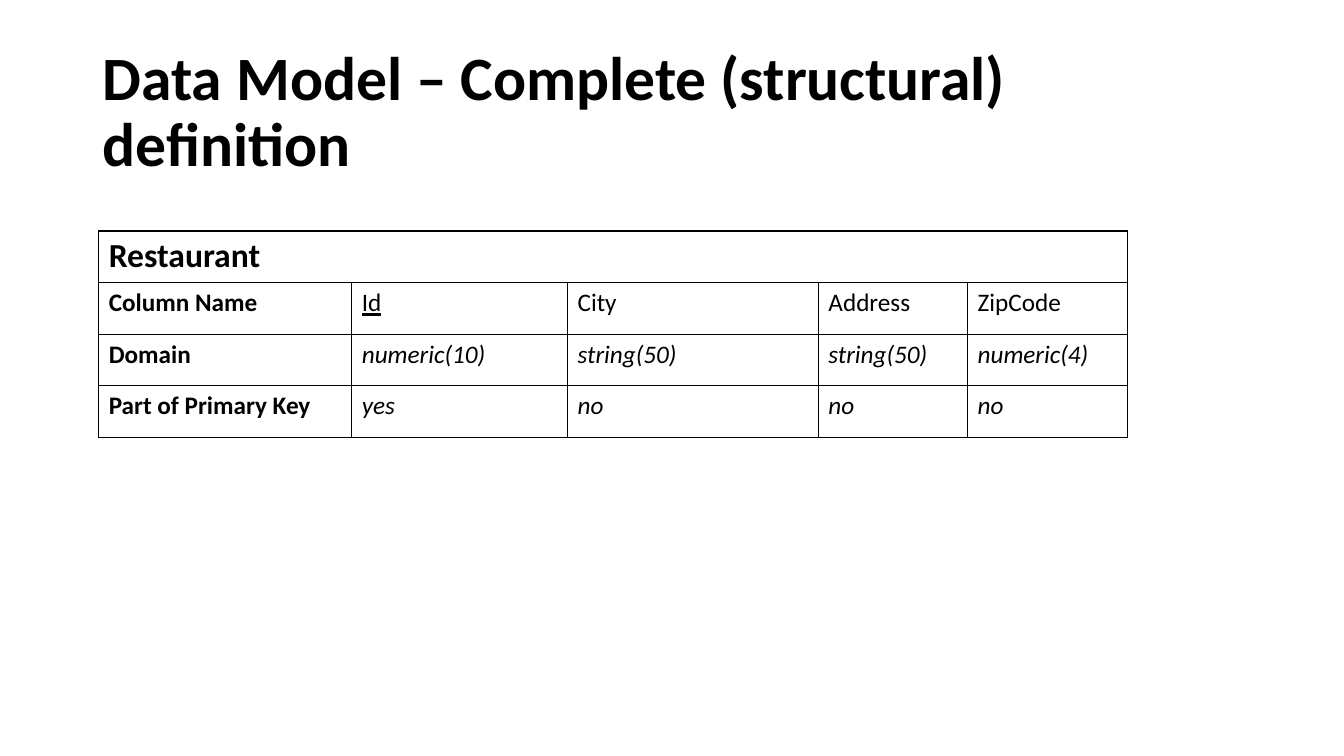
from dataclasses import dataclass

from lxml import etree
from pptx import Presentation
from pptx.dml.color import RGBColor
from pptx.enum import text
from pptx.oxml import ns
from pptx.util import Pt


@dataclass(frozen=True)
class Theme:
    font: str = "Calibri"
    ink: str = "000000"
    title_size: int = 44
    heading_size: int = 24
    cell_size: int = 18
    border_width: int = 1


@dataclass(frozen=True)
class Style:
    size: int
    bold: bool = False
    italic: bool = False
    underline: bool = False


@dataclass(frozen=True)
class Column:
    name: str
    domain: str
    primary_key: str
    width: float


THEME = Theme()
TITLE = Style(THEME.title_size, bold=True)
HEADING = Style(THEME.heading_size, bold=True)
LABEL = Style(THEME.cell_size, bold=True)
NAME = Style(THEME.cell_size)
KEY_NAME = Style(THEME.cell_size, underline=True)
VALUE = Style(THEME.cell_size, italic=True)

LABELS = Column("Column Name", "Domain", "Part of Primary Key", 180.8)
COLUMNS = [
    Column("Id", "numeric(10)", "yes", 154.1),
    Column("City", "string(50)", "no", 179.2),
    Column("Address", "string(50)", "no", 106.6),
    Column("ZipCode", "numeric(4)", "no", 114.5),
]
ROW_HEIGHT = 36.9
ROW_COUNT = 4


def write(frame, words: str, style: Style):
    """Fill a text frame with one styled paragraph and return it."""
    frame.text = words
    para = frame.paragraphs[0]
    font = para.font
    font.name = THEME.font
    font.size = Pt(style.size)
    font.bold = style.bold
    font.italic = style.italic
    font.underline = style.underline
    font.color.rgb = RGBColor.from_string(THEME.ink)
    return para


def add_borders(cell) -> None:
    properties = cell._tc.get_or_add_tcPr()
    for index, side in enumerate(("lnL", "lnR", "lnT", "lnB")):
        line = etree.Element(ns.qn(f"a:{side}"), w=str(Pt(THEME.border_width)))
        fill = etree.SubElement(line, ns.qn("a:solidFill"))
        etree.SubElement(fill, ns.qn("a:srgbClr"), val=THEME.ink)
        properties.insert(index, line)


def add_title(page, words: str) -> None:
    title = page.shapes.title
    title.left, title.top = Pt(66), Pt(28.75)
    title.width, title.height = Pt(828), Pt(104.4)
    frame = title.text_frame
    frame.word_wrap = True
    frame.auto_size = text.MSO_AUTO_SIZE.NONE
    frame.vertical_anchor = text.MSO_ANCHOR.MIDDLE
    para = write(frame, words, TITLE)
    para.alignment = text.PP_ALIGN.LEFT
    para.line_spacing = 0.9


def add_definition(page, name: str, columns: list[Column]) -> None:
    """Draw a relation as a heading row above one table column per attribute."""
    every = [LABELS, *columns]
    table = page.shapes.add_table(
        ROW_COUNT, len(every), Pt(70.5), Pt(165),
        Pt(sum(column.width for column in every)), Pt(ROW_COUNT * ROW_HEIGHT),
    ).table
    table.first_row = table.horz_banding = False
    for row in table.rows:
        row.height = Pt(ROW_HEIGHT)
    for cell in table.iter_cells():
        cell.fill.background()
        add_borders(cell)

    table.cell(0, 0).merge(table.cell(0, len(every) - 1))
    write(table.cell(0, 0).text_frame, name, HEADING)
    for index, column in enumerate(every):
        table.columns[index].width = Pt(column.width)
        if column is LABELS:
            styles = (LABEL, LABEL, LABEL)
        else:
            is_key = column.primary_key == "yes"
            styles = (KEY_NAME if is_key else NAME, VALUE, VALUE)
        entries = (column.name, column.domain, column.primary_key)
        for row, (words, style) in enumerate(zip(entries, styles), start=1):
            write(table.cell(row, index).text_frame, words, style)


def main() -> None:
    deck = Presentation()
    deck.slide_width, deck.slide_height = Pt(960), Pt(540)
    page = deck.slides.add_slide(deck.slide_layouts.get_by_name("Title Only"))
    add_title(page, "Data Model – Complete (structural) definition")
    add_definition(page, "Restaurant", COLUMNS)
    deck.save("out.pptx")


if __name__ == "__main__":
    main()
